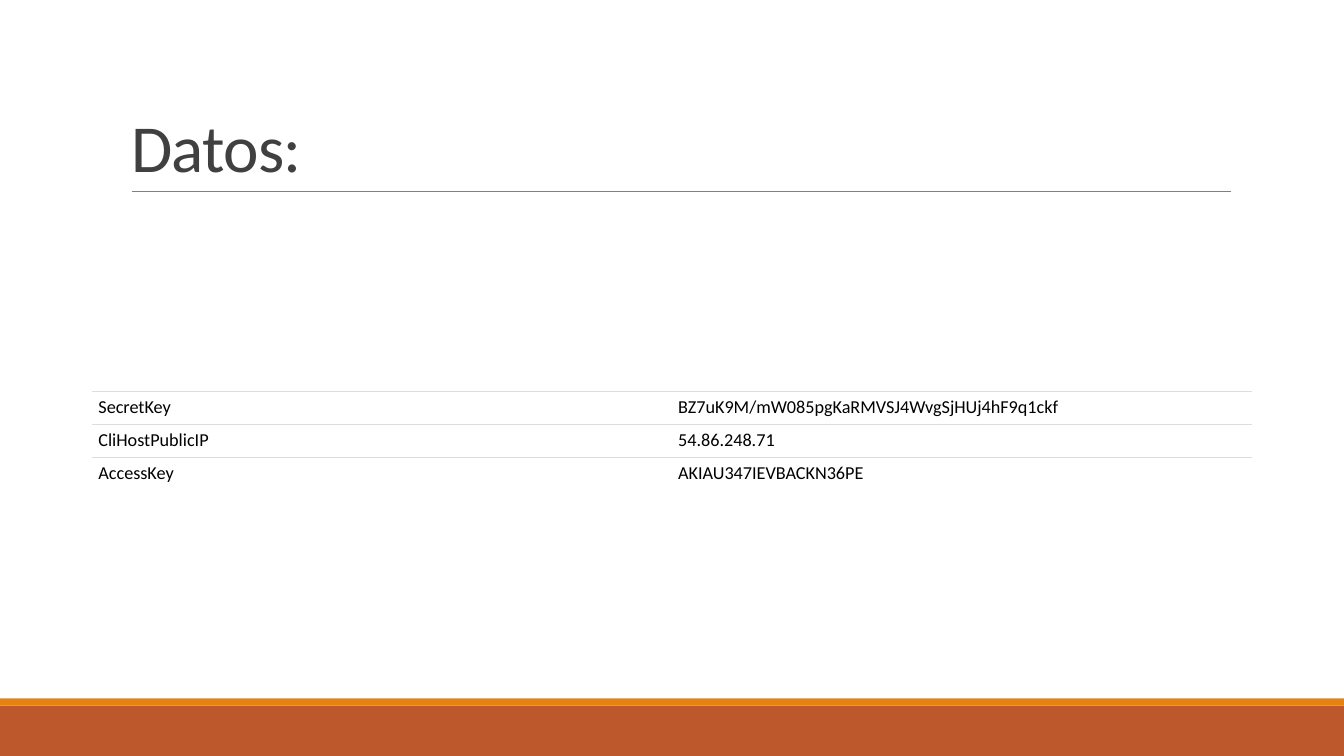
from dataclasses import dataclass

from lxml import etree
from pptx import Presentation
from pptx.dml.color import RGBColor
from pptx.enum import shapes, text
from pptx.oxml import ns
from pptx.util import Cm, Pt

FONT = "Calibri"
SLIDE_WIDTH, SLIDE_HEIGHT = 33.87, 19.05
ROW_HEIGHT = 0.83
COLUMN_WIDTH = 14.61
CELL_MARGIN = 0.15


@dataclass
class Band:
    top: float
    height: float
    color: str


@dataclass
class Credential:
    label: str
    value: str


FOOTER_BANDS = [Band(17.78, 1.27, "BD582C"), Band(17.6, 0.18, "E48312")]
CREDENTIALS = [
    Credential("SecretKey", "BZ7uK9M/mW085pgKaRMVSJ4WvgSjHUj4hF9q1ckf"),
    Credential("CliHostPublicIP", "54.86.248.71"),
    Credential("AccessKey", "AKIAU347IEVBACKN36PE"),
]


def rgb(color: str) -> RGBColor:
    return RGBColor.from_string(color)


def add_run(paragraph, content: str, size: float, color: str):
    run = paragraph.add_run()
    run.text = content
    run.font.name = FONT
    run.font.size = Pt(size)
    run.font.color.rgb = rgb(color)
    return run


def add_band(slide, band: Band) -> None:
    bar = slide.shapes.add_shape(
        shapes.MSO_SHAPE.RECTANGLE,
        Cm(0), Cm(band.top), Cm(SLIDE_WIDTH), Cm(band.height),
    )
    bar.shadow.inherit = False
    bar.fill.solid()
    bar.fill.fore_color.rgb = rgb(band.color)
    bar.line.fill.background()


def add_title_rule(slide) -> None:
    rule = slide.shapes.add_connector(
        shapes.MSO_CONNECTOR.STRAIGHT, Cm(3.32), Cm(4.82), Cm(31.01), Cm(4.82)
    )
    rule.line.color.rgb = rgb("808080")
    rule.line.width = Pt(0.5)
    etree.SubElement(rule._element.spPr, ns.qn("a:effectLst"))


def fill_title(slide, heading: str) -> None:
    title = slide.shapes.title
    title.left, title.top = Cm(3.05), Cm(0.8)
    title.width, title.height = Cm(27.94), Cm(4.03)
    frame = title.text_frame
    frame.word_wrap = True
    frame.auto_size = text.MSO_AUTO_SIZE.NONE
    frame.vertical_anchor = text.MSO_ANCHOR.BOTTOM
    paragraph = frame.paragraphs[0]
    paragraph.alignment = text.PP_ALIGN.LEFT
    paragraph.line_spacing = 0.85
    run = add_run(paragraph, heading, 48, "404040")
    run.font._element.set("spc", "-50")


def set_borders(cell, bottom: bool) -> None:
    """Rule the cell above, and below if asked, leaving its sides open."""
    properties = cell._tc.get_or_add_tcPr()
    ruled = {"lnL": False, "lnR": False, "lnT": True, "lnB": bottom}
    for side, visible in ruled.items():
        border = etree.SubElement(properties, ns.qn(f"a:{side}"), w=str(Pt(0.75)))
        if visible:
            fill = etree.SubElement(border, ns.qn("a:solidFill"))
            etree.SubElement(fill, ns.qn("a:srgbClr"), val="DDDDDD")
        else:
            etree.SubElement(border, ns.qn("a:noFill"))


def fill_cell(cell, content: str, last: bool) -> None:
    set_borders(cell, bottom=not last)
    cell.fill.solid()
    cell.fill.fore_color.rgb = rgb("FFFFFF")
    cell.margin_left = cell.margin_right = Cm(CELL_MARGIN)
    cell.margin_top = cell.margin_bottom = Cm(CELL_MARGIN)
    paragraph = cell.text_frame.paragraphs[0]
    paragraph.line_spacing = Pt(15)
    add_run(paragraph, content, 13, "000000")


def add_credentials(slide, credentials: list[Credential]) -> None:
    table = slide.shapes.add_table(
        len(credentials), 2, Cm(2.33), Cm(9.87),
        Cm(2 * COLUMN_WIDTH), Cm(len(credentials) * ROW_HEIGHT),
    ).table
    table.first_row = False
    table.horz_banding = False
    for index, credential in enumerate(credentials):
        last = index == len(credentials) - 1
        for column, content in enumerate((credential.label, credential.value)):
            fill_cell(table.cell(index, column), content, last)


def main() -> None:
    deck = Presentation()
    deck.slide_width, deck.slide_height = Cm(SLIDE_WIDTH), Cm(SLIDE_HEIGHT)
    slide = deck.slides.add_slide(deck.slide_layouts[5])
    for band in FOOTER_BANDS:
        add_band(slide, band)
    add_title_rule(slide)
    fill_title(slide, "Datos:")
    add_credentials(slide, CREDENTIALS)
    deck.save("out.pptx")


if __name__ == "__main__":
    main()
